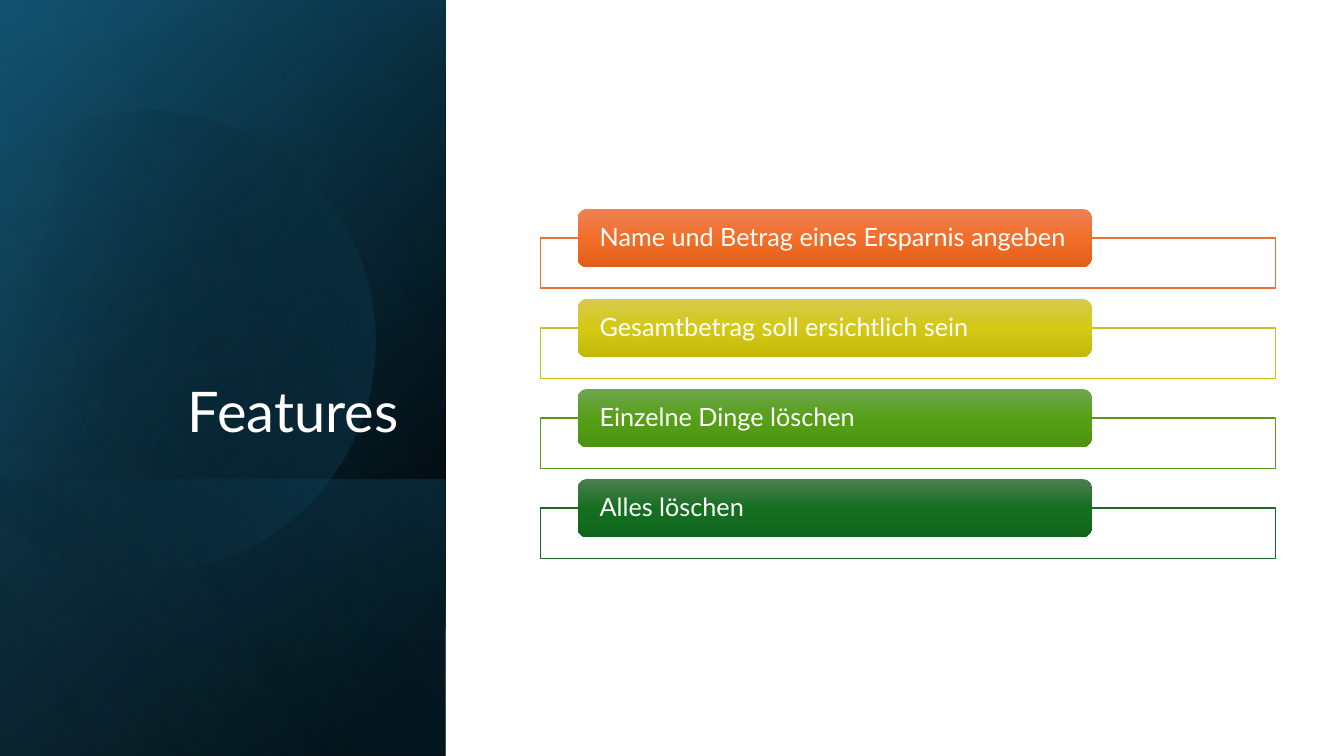
import pptx
import pptx.dml.color
import pptx.enum.shapes
import pptx.enum.text
import pptx.oxml
import pptx.oxml.ns
import pptx.util

Inches = pptx.util.Inches
SHAPE = pptx.enum.shapes.MSO_SHAPE
ALIGN = pptx.enum.text.PP_ALIGN
ANCHOR = pptx.enum.text.MSO_ANCHOR
qn = pptx.oxml.ns.qn

COLORS = {
    "white": "FFFFFF", "black": "000000", "navy": "104862", "teal": "156082", "sky": "46B1E1",
    "orange": "E97132", "orange_top": "ED8257", "orange_mid": "F26E29", "orange_end": "E25F1A",
    "yellow": "CBC11E", "yellow_top": "D5CB4E", "yellow_mid": "D4C815", "yellow_end": "C4B90B",
    "green": "56991D", "green_top": "6DA64E", "green_mid": "56A017", "green_end": "4C930F",
    "forest": "196B24", "forest_top": "4D7E50", "forest_mid": "156F21", "forest_end": "0F661B",
}
FEATURES = [
    ("Name und Betrag eines Ersparnis angeben", "orange"),
    ("Gesamtbetrag soll ersichtlich sein", "yellow"),
    ("Einzelne Dinge löschen", "green"),
    ("Alles löschen", "forest"),
]
PANEL_W, SLIDE_H = 4.42, 7.5
FRAME_X, FRAME_W, FRAME_H = 5.36, 7.29, 0.5
PILL_X, PILL_W, PILL_H = 5.73, 5.1, 0.58
FIRST_TOP, LAST_TOP = 2.07, 4.75

DISC_X, DISC_Y, DISC_TURN = -0.55, 1.06, 343.9
DISC_START = (2.67, 0.1)
# One point is a straight side, three points are a Bézier curve.
DISC_SIDES = [
    [(3.59, 0.39), (4.27, 1.26), (4.27, 2.28)],
    [(4.27, 3.55), (3.24, 4.57), (1.98, 4.57)],
    [(1.19, 4.57), (0.49, 4.17), (0.09, 3.56)],
    [(0, 3.42)],
    [(0.91, 0.27)],
    [(1.09, 0.18)],
    [(1.37, 0.06), (1.66, 0), (1.98, 0)],
    [(2.22, 0), (2.44, 0.04), (2.67, 0.1)],
]


def rgb(name):
    return pptx.dml.color.RGBColor.from_string(COLORS[name])


def opacity_tag(percent):
    return pptx.oxml.parse_xml(
        f'<a:alpha {pptx.oxml.ns.nsdecls("a")} val="{percent * 1000}"/>')


def disc_point(point):
    return Inches(DISC_X + point[0]), Inches(DISC_Y + point[1])


class Deck:
    font = "Lato"

    def __init__(self):
        self.prs = pptx.Presentation()
        self.prs.slide_width, self.prs.slide_height = Inches(13.33), Inches(SLIDE_H)
        self.slide = self.prs.slides.add_slide(self.prs.slide_layouts[6])

    def shape(self, kind, x, y, w, h):
        s = self.slide.shapes.add_shape(kind, Inches(x), Inches(y), Inches(w), Inches(h))
        s.shadow.inherit = False
        s.line.fill.background()
        return s

    def gradient(self, s, stops, angle):
        """Fill with (position, colour, opacity) stops, angle clockwise."""
        s.fill.gradient()
        s.fill.gradient_angle = 360 - angle
        stop_list = s._element.spPr.find(qn("a:gradFill")).find(qn("a:gsLst"))
        for old in list(stop_list):
            stop_list.remove(old)
        for position, color, opacity in stops:
            stop = pptx.oxml.parse_xml(
                f'<a:gs {pptx.oxml.ns.nsdecls("a")} pos="{position * 1000}">'
                f'<a:srgbClr val="{COLORS[color]}"/></a:gs>')
            if opacity < 100:
                stop[0].append(opacity_tag(opacity))
            stop_list.append(stop)

    def panel(self, top, stops, angle):
        """Left panel from top to the slide's foot, mirrored and turned a quarter."""
        h = SLIDE_H - top
        s = self.shape(SHAPE.RECTANGLE, (PANEL_W - h) / 2, top + (h - PANEL_W) / 2, h, PANEL_W)
        s.rotation = 90
        s._element.spPr.get_or_add_xfrm().set("flipH", "1")
        self.gradient(s, stops, angle)

    def disc(self, stops, angle):
        builder = self.slide.shapes.build_freeform(*disc_point(DISC_START))
        builder.add_line_segments([disc_point(p) for side in DISC_SIDES for p in side])
        s = builder.convert_to_shape()
        lines = iter(list(s._element.iter(qn("a:lnTo"))))
        for side in DISC_SIDES:
            first, *rest = [next(lines) for _ in side]
            if rest:
                curve = first.makeelement(qn("a:cubicBezTo"), {})
                first.addprevious(curve)
                for line in (first, *rest):
                    curve.append(line[0])
                    line.getparent().remove(line)
        s.rotation = DISC_TURN
        s.shadow.inherit = False
        s.line.fill.background()
        self.gradient(s, stops, angle)

    def text(self, s, words, size, align, anchor):
        tf = s.text_frame
        tf.word_wrap = True
        tf.vertical_anchor = anchor
        p = tf.paragraphs[0]
        p.alignment = align
        p.line_spacing = 0.9
        r = p.add_run()
        r.text = words
        r.font.name = self.font
        r.font.size = pptx.util.Pt(size)
        r.font.color.rgb = rgb("white")
        return tf

    def title(self, words):
        s = self.slide.shapes.add_textbox(Inches(0.64), Inches(1.84), Inches(3.41), Inches(2.62))
        self.text(s, words, 40, ALIGN.RIGHT, ANCHOR.BOTTOM)

    def feature(self, words, color, top):
        frame = self.shape(SHAPE.RECTANGLE, FRAME_X, top + PILL_H / 2, FRAME_W, FRAME_H)
        frame.fill.solid()
        frame.fill.fore_color.rgb = rgb("white")
        frame._element.spPr.find(qn("a:solidFill"))[0].append(opacity_tag(90))
        frame.line.color.rgb = rgb(color)
        frame.line.width = pptx.util.Pt(1)

        pill = self.shape(SHAPE.ROUNDED_RECTANGLE, PILL_X, top, PILL_W, PILL_H)
        stops = [(0, color + "_top", 100), (50, color + "_mid", 100), (100, color + "_end", 100)]
        self.gradient(pill, stops, 90)
        tf = self.text(pill, words, 18, ALIGN.LEFT, ANCHOR.MIDDLE)
        tf.margin_left = tf.margin_right = Inches(0.19)
        tf.margin_top = tf.margin_bottom = 0


def main():
    deck = Deck()
    deck.panel(0, [(8, "black", 100), (100, "navy", 100)], 50)
    deck.panel(0, [(0, "black", 0), (99, "teal", 46)], 30)
    deck.panel(4.76, [(2, "teal", 29), (100, "black", 30)], 130)
    deck.disc([(29, "black", 0), (100, "teal", 43)], 30)
    deck.panel(0, [(0, "black", 0), (99, "sky", 11)], 120)
    deck.title("Features")
    pitch = (LAST_TOP - FIRST_TOP) / (len(FEATURES) - 1)
    for i, (words, color) in enumerate(FEATURES):
        deck.feature(words, color, FIRST_TOP + i * pitch)
    deck.prs.save("out.pptx")


if __name__ == "__main__":
    main()
